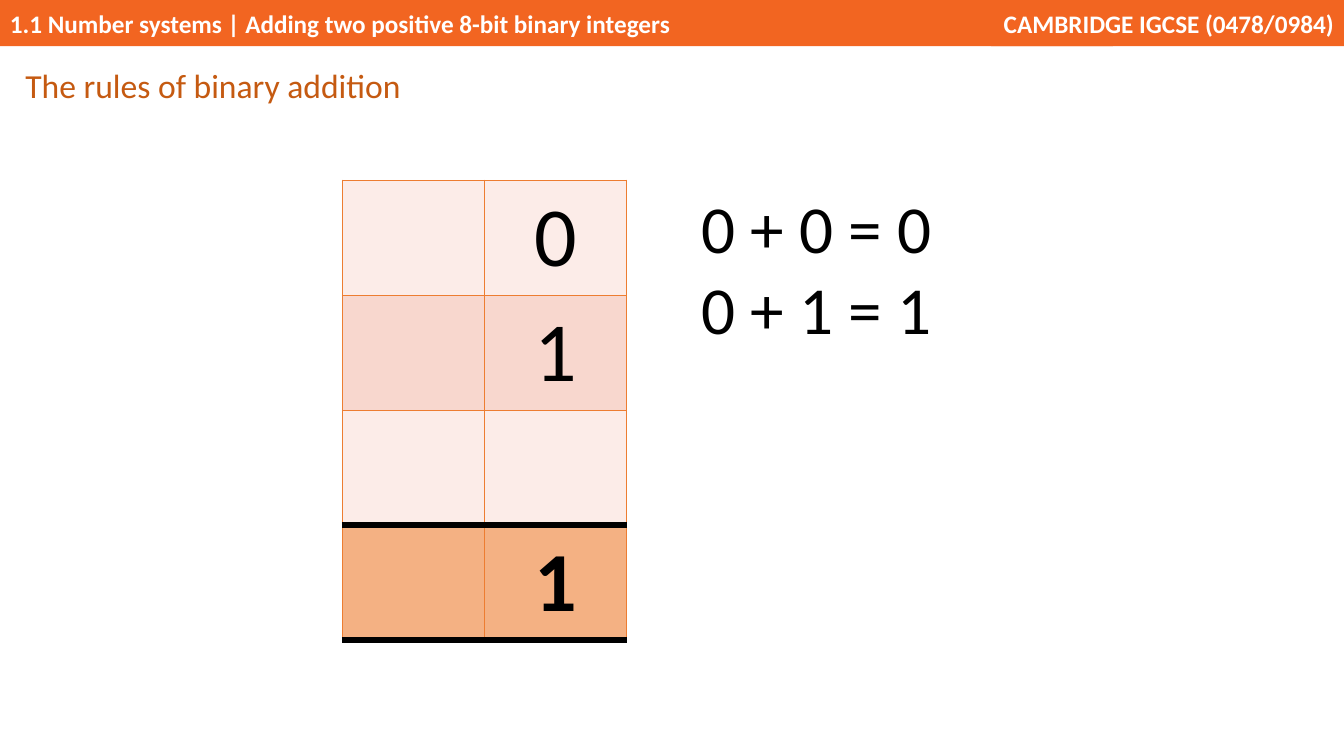
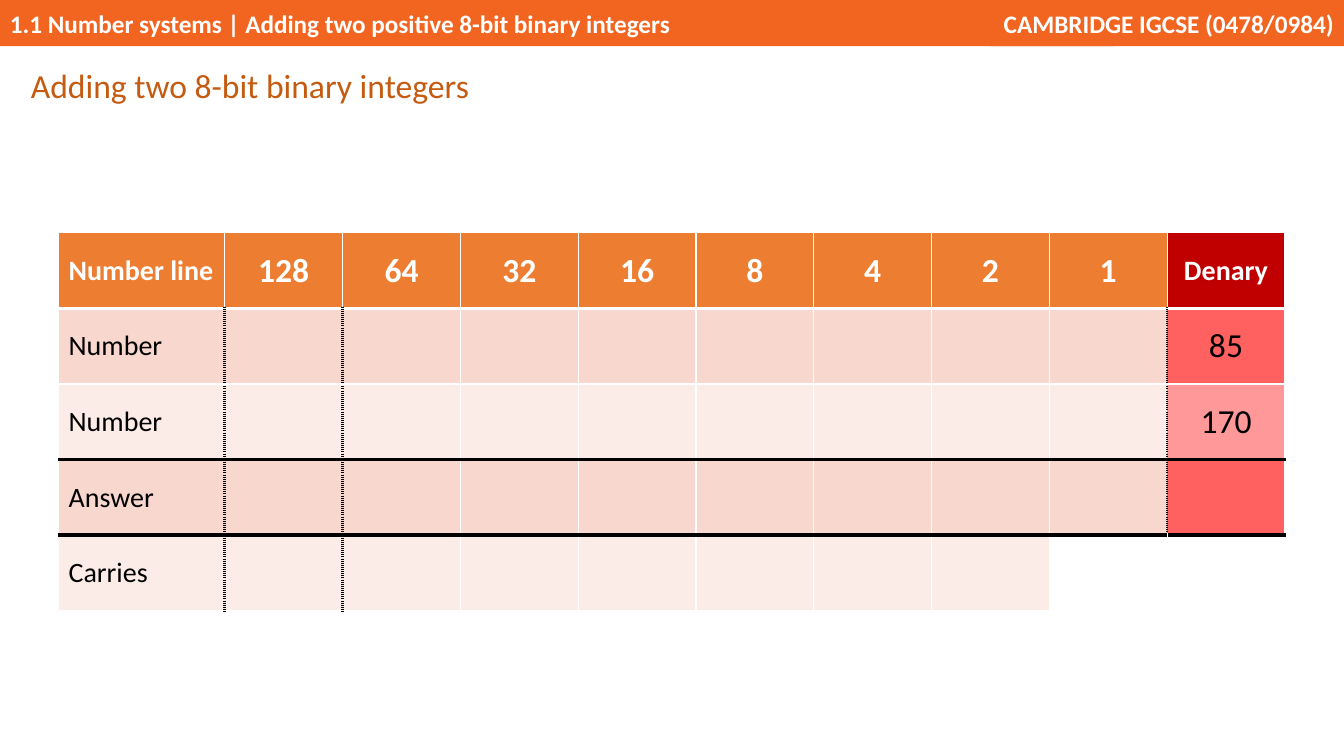
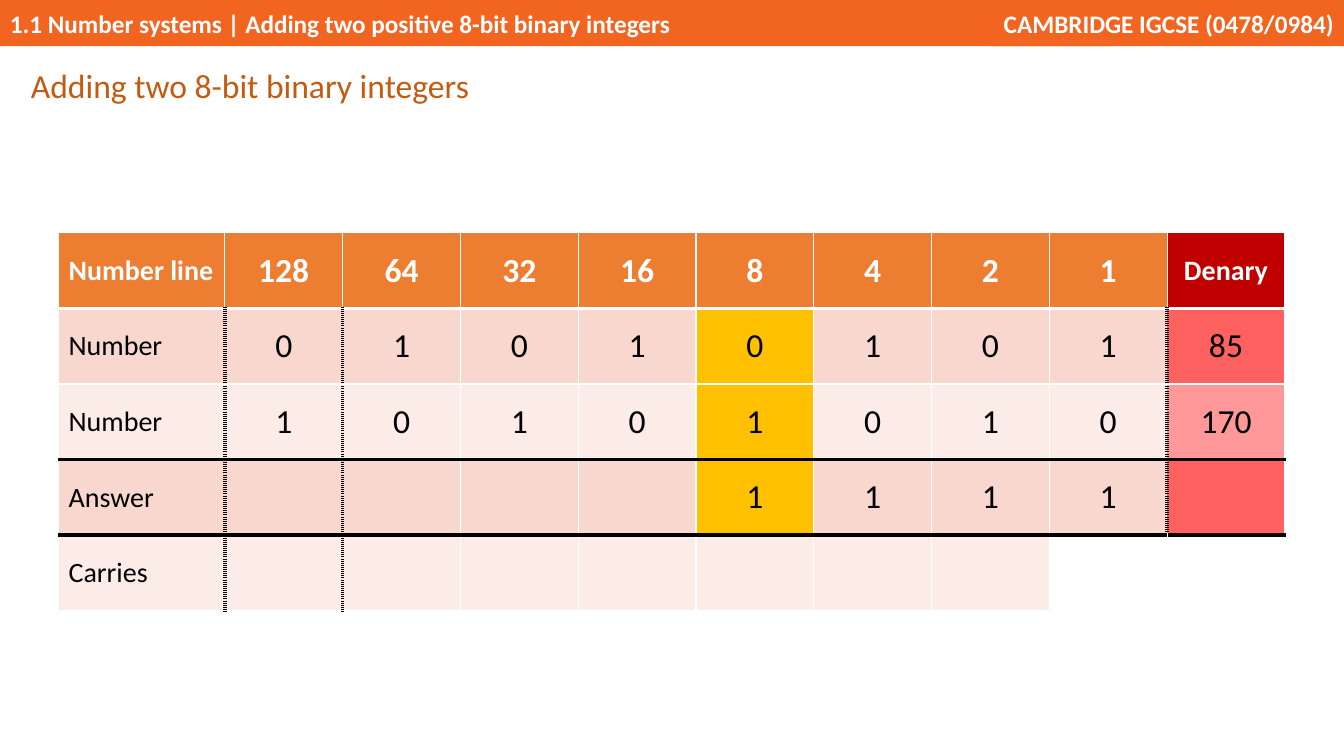
from dataclasses import dataclass

from lxml.etree import SubElement
from pptx import Presentation
from pptx.dml.color import RGBColor
from pptx.enum.shapes import MSO_SHAPE
from pptx.enum.text import MSO_ANCHOR, MSO_AUTO_SIZE, PP_ALIGN
from pptx.oxml.ns import qn
from pptx.util import Pt


@dataclass(frozen=True)
class Theme:
    font: str = "Calibri"
    band: str = "F26521"
    title: str = "C55A11"
    ink: str = "000000"
    paper: str = "FFFFFF"
    orange: str = "ED7D31"
    sum: str = "F4B183"
    pale: str = "FCECE8"
    pink: str = "F8D7CE"
    deep: str = "C00000"
    red: str = "FF6161"
    rose: str = "FF9999"
    gold: str = "FFC000"
    small: int = 18
    label: int = 20
    head: int = 24
    rule: int = 48
    digit: int = 60


@dataclass(frozen=True)
class Line:
    color: str
    width: float
    dash: str = "solid"


@dataclass(frozen=True)
class Look:
    fill: str
    size: int
    ink: str = Theme.ink
    bold: bool = False
    align: PP_ALIGN = PP_ALIGN.CENTER


class Deck:
    def __init__(self, theme):
        self.theme = theme
        self.file = Presentation()
        self.file.slide_width, self.file.slide_height = Pt(960), Pt(540)
        self.slide = None

    def page(self, title, left):
        self.slide = self.file.slides.add_slide(self.file.slide_layouts[6])
        self.band(0, 795, "1.1 Number systems | Adding two positive 8-bit binary integers",
                  PP_ALIGN.LEFT)
        self.band(708, 252, "CAMBRIDGE IGCSE (0478/0984)", PP_ALIGN.RIGHT)
        frame = self.text((left, 41, 345.6, 36.7), title, self.theme.head, self.theme.title)
        frame.paragraphs[0].line_spacing = 1.07
        frame.paragraphs[0].space_after = Pt(8)

    def style(self, frame, size, ink, bold=False, align=PP_ALIGN.LEFT):
        for para in frame.paragraphs:
            para.alignment = align
            for run in para.runs:
                run.font.name = self.theme.font
                run.font.size = Pt(size)
                run.font.bold = bold
                run.font.color.rgb = RGBColor.from_string(ink)

    def band(self, left, width, text, align):
        shape = self.slide.shapes.add_shape(
            MSO_SHAPE.RECTANGLE, Pt(left), Pt(0), Pt(width), Pt(33))
        shape.shadow.inherit = False
        shape.fill.solid()
        shape.fill.fore_color.rgb = RGBColor.from_string(self.theme.band)
        shape.line.fill.background()
        frame = shape.text_frame
        frame.text = text
        frame.vertical_anchor = MSO_ANCHOR.MIDDLE
        self.style(frame, self.theme.small, self.theme.paper, True, align)

    def text(self, box, text, size, ink, wrap=True):
        frame = self.slide.shapes.add_textbox(*map(Pt, box)).text_frame
        frame.text = text
        frame.word_wrap = wrap
        frame.auto_size = MSO_AUTO_SIZE.SHAPE_TO_FIT_TEXT
        self.style(frame, size, ink)
        return frame

    def grid(self, left, top, cols, high, rows, look, across, down):
        """Draw a table; across lists the row lines, down(row, edge) gives the column lines."""
        table = self.slide.shapes.add_table(
            len(rows), len(cols), Pt(left), Pt(top),
            Pt(sum(cols)), Pt(high * len(rows))).table
        table.first_row = table.horz_banding = False
        for col, width in enumerate(cols):
            table.columns[col].width = Pt(width)
        for r, row in enumerate(rows):
            table.rows[r].height = Pt(high)
            for c, text in enumerate(row):
                lines = {"L": down(r, c), "R": down(r, c + 1),
                         "T": across[r], "B": across[r + 1]}
                self.cell(table.cell(r, c), text, look(r, c), lines)

    def cell(self, cell, text, look, lines):
        cell.vertical_anchor = MSO_ANCHOR.MIDDLE
        props = cell._tc.get_or_add_tcPr()
        for side, line in lines.items():
            edge = SubElement(props, qn("a:ln" + side), w=str(Pt(line.width)))
            fill = SubElement(edge, qn("a:solidFill"))
            SubElement(fill, qn("a:srgbClr"), val=line.color)
            SubElement(edge, qn("a:prstDash"), val=line.dash)
        cell.fill.solid()
        cell.fill.fore_color.rgb = RGBColor.from_string(look.fill)
        cell.text_frame.text = text
        self.style(cell.text_frame, look.size, look.ink, look.bold, look.align)


def rules(deck):
    theme = deck.theme
    deck.page("The rules of binary addition", 11)
    thin, thick = Line(theme.orange, 1), Line(theme.ink, 4.5)
    fills = [theme.pale, theme.pink, theme.pale, theme.sum]
    deck.grid(244.6, 128.8, [101.6] * 2, 82.1,
              [["", digit] for digit in ("0", "1", "", "1")],
              lambda r, c: Look(fills[r], theme.digit, bold=r == 3),
              [thin] * 3 + [thick] * 2, lambda r, edge: thin)
    deck.text((494, 129.6, 191.5, 123.8), "0 + 0 = 0\n0 + 1 = 1",
              theme.rule, theme.ink, wrap=False)


def adder(deck, first, second, answer, dot, hot=None):
    """Draw the 8-bit sum; hot is the column being added, dot the dotted line width."""
    theme = deck.theme
    deck.page("Adding two 8-bit binary integers", 15)
    bits = [str(2 ** power) for power in range(7, -1, -1)]
    rows = [["Number line", *bits, "Denary"],
            ["Number", *first.rjust(8), "85"],
            ["Number", *second.rjust(8), "170"],
            ["Answer", *answer.rjust(8), ""],
            ["Carries"] + [""] * 9]
    rows = [[text.strip() for text in row] for row in rows]
    last = len(bits) + 1
    white, black = Line(theme.paper, 1), Line(theme.ink, 3)
    dots = Line(theme.ink, dot, "dot")

    def fill(r, c):
        if r == 0:
            return theme.deep if c == last else theme.orange
        if r == 4 and c >= last - 1:
            return theme.paper
        if c == last:
            return theme.red if r % 2 else theme.rose
        if c == hot and r < 4:
            return theme.gold
        return theme.pink if r % 2 else theme.pale

    def look(r, c):
        word = c == 0 or (r == 0 and c == last)
        return Look(fill(r, c), theme.label if word else theme.head,
                    theme.ink if r else theme.paper, r == 0,
                    PP_ALIGN.CENTER if c else PP_ALIGN.LEFT)

    def down(r, edge):
        dotted = r > 0 and (edge in (1, 2) or (edge == last and r < 4))
        return dots if dotted else white

    deck.grid(41.8, 166.3, [118.8] + [84.15] * last, 54, rows, look,
              [white, Line(theme.paper, 3), white, black, black, white], down)


def main():
    deck = Deck(Theme())
    rules(deck)
    adder(deck, "", "", "", dot=2.25)
    adder(deck, "01010101", "10101010", "1111", dot=3, hot=5)
    deck.file.save("out.pptx")


if __name__ == "__main__":
    main()
